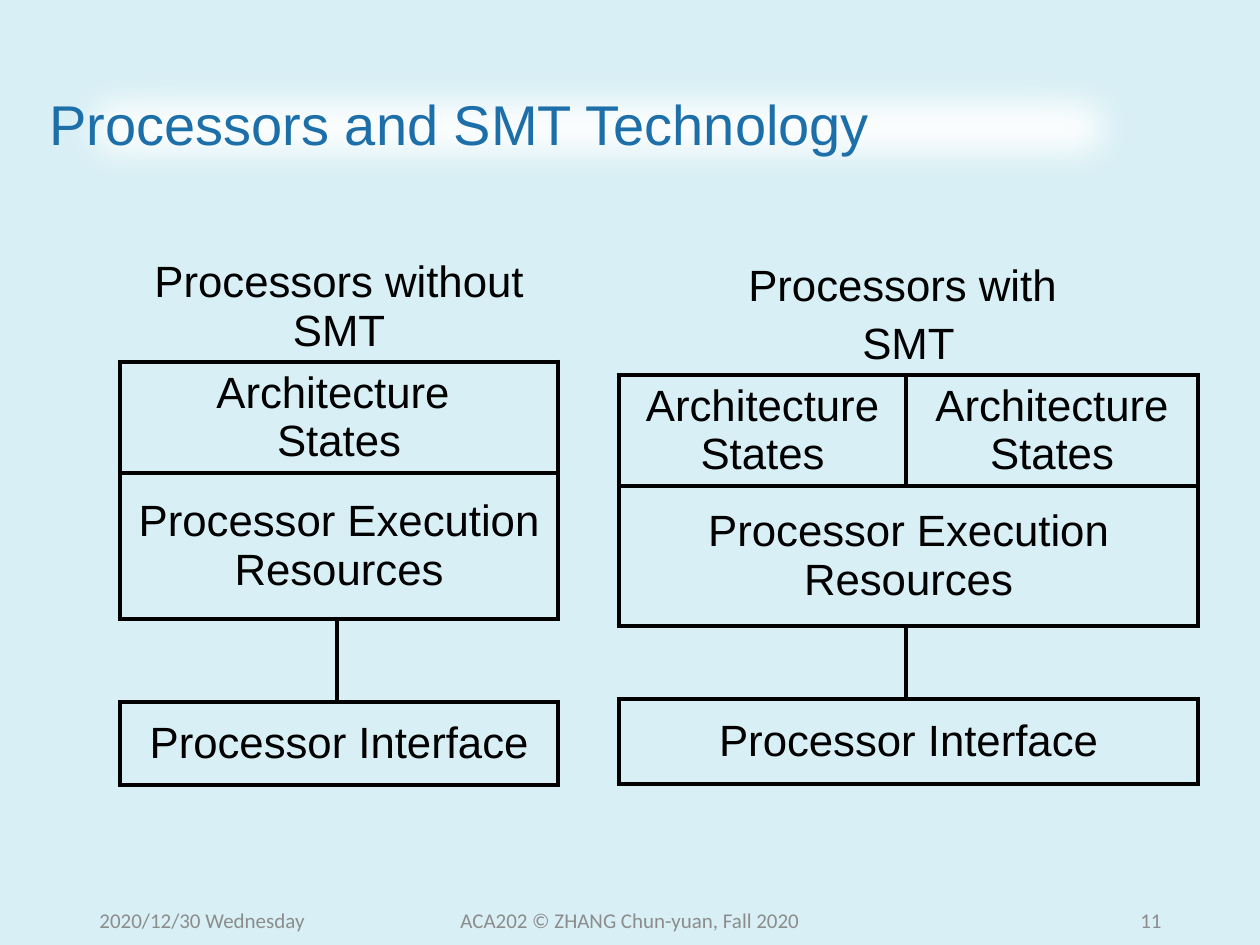
from lxml.etree import SubElement
from pptx import Presentation
from pptx.dml.color import RGBColor
from pptx.enum.shapes import MSO_SHAPE as SHAPE
from pptx.enum.text import MSO_ANCHOR as ANCHOR, PP_ALIGN as ALIGN
from pptx.oxml.ns import qn
from pptx.util import Emu, Pt

PX = 914400 // 126
INK, TITLE_BLUE, GREY, WHITE, SKY = "000000", "1D6FA9", "8C8C8C", "FFFFFF", "D7EFF5"
ALL_SIDES = "LRTB"


def px(length):
    return Emu(length * PX)


def color(code):
    return RGBColor.from_string(code)


class SlideBuilder:
    """Holds the deck style and the slide being built."""

    font, body_size, footer_font, rule = "Arial", 25, "Calibri", 3

    def __init__(self, deck):
        self.slide = deck.slides.add_slide(deck.slide_layouts[6])
        background = self.slide.background.fill
        background.solid()
        background.fore_color.rgb = color(SKY)

    def set_text(self, frame, text, size, ink, align, font, gap=0):
        frame.text = text
        frame.word_wrap = True
        for index, paragraph in enumerate(frame.paragraphs):
            paragraph.alignment = align
            if index and gap:
                paragraph.space_before = Pt(gap)
            for run in paragraph.runs:
                run.font.name = font
                run.font.size = Pt(size)
                run.font.color.rgb = color(ink)

    def title(self, text, left, top, width, height, feather):
        banner = self.slide.shapes.add_shape(
            SHAPE.RECTANGLE, px(left), px(top), px(width), px(height))
        banner.shadow.inherit = False
        banner.fill.solid()
        banner.fill.fore_color.rgb = color(WHITE)
        banner.line.fill.background()
        effects = banner._element.spPr.find(qn("a:effectLst"))
        SubElement(effects, qn("a:softEdge"), rad=str(px(feather)))
        banner.text_frame.vertical_anchor = ANCHOR.MIDDLE
        self.set_text(banner.text_frame, text, 32, TITLE_BLUE, ALIGN.LEFT, self.font)
        banner.text_frame.paragraphs[0].line_spacing = 0.9

    def footer(self, text, left, width, align):
        box = self.slide.shapes.add_textbox(px(left), px(895), px(width), px(50))
        box.text_frame.vertical_anchor = ANCHOR.MIDDLE
        self.set_text(box.text_frame, text, 12, GREY, align, self.footer_font)

    def borders(self, cell, sides):
        properties = cell._tc.get_or_add_tcPr()
        for side in ALL_SIDES:
            edge = SubElement(properties, qn(f"a:ln{side}"), w=str(Pt(self.rule)))
            if side in sides:
                paint = SubElement(edge, qn("a:solidFill"))
                SubElement(paint, qn("a:srgbClr"), val=INK)
            else:
                SubElement(edge, qn("a:noFill"))

    def processor(self, left, top, columns, rows, gap=0):
        table = self.slide.shapes.add_table(
            len(rows), len(columns), px(left), px(top),
            px(sum(columns)), px(sum(height for height, _, _ in rows))).table
        table.first_row = table.horz_banding = False
        for column, width in zip(table.columns, columns):
            column.width = px(width)
        for index, (height, labels, sides) in enumerate(rows):
            table.rows[index].height = px(height)
            cells = [table.cell(index, position) for position in range(len(columns))]
            for cell, cell_sides in zip(cells, sides):
                self.borders(cell, cell_sides)
                cell.fill.background()
                cell.vertical_anchor = ANCHOR.MIDDLE
                cell.margin_left = cell.margin_right = px(10)
                cell.margin_top = cell.margin_bottom = px(6)
            if len(labels) == 1:
                cells[0].merge(cells[-1])
            for cell, label in zip(cells, labels):
                if label:
                    self.set_text(cell.text_frame, label, self.body_size, INK,
                                  ALIGN.CENTER, self.font, gap)


def processor_rows(heights, heading, states):
    boxed = (ALL_SIDES, ALL_SIDES)
    contents = [
        ([heading], ("B", "B")),
        (states, boxed),
        (["Processor Execution Resources"], boxed),
        (["", ""], ("RTB", "LTB")),
        (["Processor Interface"], boxed),
    ]
    return [(height, *content) for height, content in zip(heights, contents)]


def main():
    deck = Presentation()
    deck.slide_width, deck.slide_height = px(1260), px(945)
    builder = SlideBuilder(deck)
    builder.title("Processors and SMT Technology", 37, 50, 1119, 155, 44)
    builder.processor(120, 252, [217, 221], processor_rows(
        [110, 111, 146, 83, 83], "Processors without\nSMT", ["Architecture \nStates"]))
    builder.processor(619, 256, [287, 292], processor_rows(
        [119, 111, 140, 73, 85], "Processors with \nSMT", ["Architecture States"] * 2), gap=5)
    builder.footer("2020/12/30 Wednesday", 87, 284, ALIGN.LEFT)
    builder.footer("ACA202 © ZHANG Chun-yuan, Fall 2020", 417, 426, ALIGN.CENTER)
    builder.footer("11", 890, 284, ALIGN.RIGHT)
    deck.save("out.pptx")


if __name__ == "__main__":
    main()
